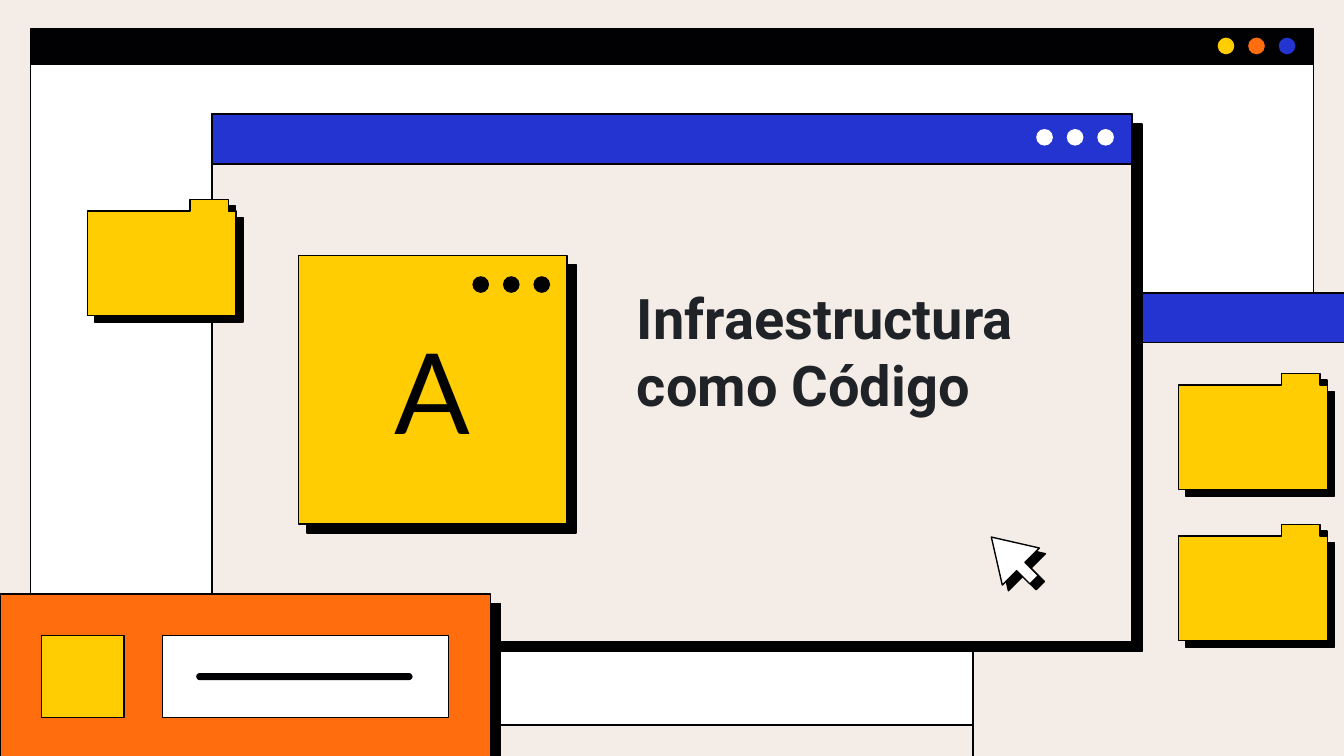
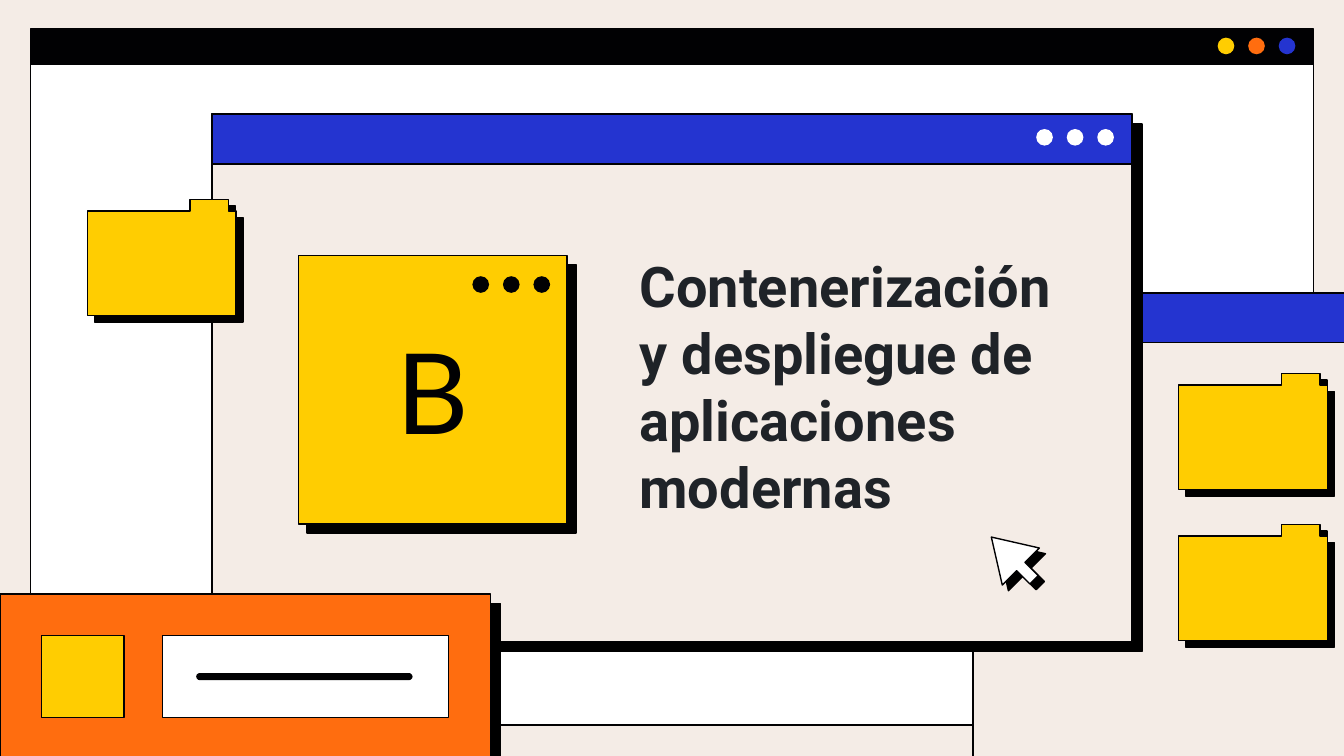
from dataclasses import dataclass

from lxml import etree
from pptx import Presentation
from pptx import util as u
from pptx.dml.color import RGBColor
from pptx.enum import shapes, text
from pptx.oxml import ns


@dataclass(frozen=True)
class Theme:
    """Colours, fonts, type sizes and grid cell of the deck."""
    paper: str = "F4ECE6"
    ink: str = "010103"
    title_ink: str = "1F2328"
    white: str = "FFFFFF"
    blue: str = "2434D0"
    orange: str = "FF6D0F"
    yellow: str = "FFCD01"
    title_font: str = "Roboto"
    letter_font: str = "Lato"
    title_size: int = 30
    letter_size: int = 60
    line: float = 0.75
    cell: float = 0.1


T = Theme()
COLS, ROWS = 100, 56.25
WINDOW_SHADOW, TILE_SHADOW = (7.5, 44), (6.8, 46)
FOLDER_SHADOW, CURSOR_SHADOW = (5.2, 43), (4.5, 43)
DOT, DOT_STEP = 1.24, 2.27
HEADER = 3.7
FOLDERS = [(87.7, 27.8), (6.5, 14.85), (87.7, 39.03)]
FOLDER_OUTLINE = [(7.65, 0), (7.65, 0.85), (0, 0.85), (0, 8.63),
                  (11.05, 8.63), (11.05, 0.85), (10.5, 0.85), (10.5, 0)]
SECTIONS = [("A", "Infraestructura como Código", (46.4, 20.5, 34.8, 11.6)),
            ("B", "Contenerización y despliegue de aplicaciones modernas",
             (46.6, 19.3, 34.8, 20.4))]


def grid(n):
    """Turn a number of grid cells into a length."""
    return u.Inches(n * T.cell)


def rgb(colour):
    """Turn a theme colour into an RGBColor."""
    return RGBColor.from_string(colour)


def hard_shadow(sp, distance, angle):
    """Give a shape a solid offset shadow."""
    effects = sp._element.spPr.find(ns.qn("a:effectLst"))
    outer = etree.SubElement(effects, ns.qn("a:outerShdw"), dist=str(u.Pt(distance)),
                             dir=str(angle * 60000), algn="bl", rotWithShape="0")
    etree.SubElement(outer, ns.qn("a:srgbClr"), val="000000")


def style(sp, fill, outlined=True, shadow=None):
    """Set the fill, outline and shadow of a shape."""
    sp.shadow.inherit = False
    sp.fill.solid()
    sp.fill.fore_color.rgb = rgb(fill)
    if outlined:
        sp.line.color.rgb = rgb(T.ink)
        sp.line.width = u.Pt(T.line)
    else:
        sp.line.fill.background()
    if shadow:
        hard_shadow(sp, *shadow)
    return sp


def block(s, kind, box, fill, **look):
    """Add a styled preset shape on the grid."""
    return style(s.shapes.add_shape(kind, *map(grid, box)), fill, **look)


def rect(s, box, fill, **look):
    """Add a styled rectangle."""
    return block(s, shapes.MSO_SHAPE.RECTANGLE, box, fill, **look)


def dots(s, left, top, colours):
    """Add an evenly spaced row of window buttons."""
    for i, colour in enumerate(colours):
        block(s, shapes.MSO_SHAPE.OVAL, (left + i * DOT_STEP, top, DOT, DOT),
              colour, outlined=False)


def write(sp, words, font, size, colour, bold=False,
          align=text.PP_ALIGN.LEFT, anchor=text.MSO_ANCHOR.BOTTOM):
    """Write one run of text inside a shape."""
    tf = sp.text_frame
    tf.word_wrap = True
    tf.vertical_anchor = anchor
    tf.margin_left = tf.margin_right = tf.margin_top = tf.margin_bottom = grid(1)
    p = tf.paragraphs[0]
    p.alignment = align
    r = p.add_run()
    r.text = words
    r.font.name, r.font.size, r.font.bold = font, u.Pt(size), bold
    r.font.color.rgb = rgb(colour)


def window(s, left, top, width, height):
    """Add a paper window with a blue header."""
    rect(s, (left, top, width, height), T.paper, shadow=WINDOW_SHADOW)
    rect(s, (left, top, width, HEADER), T.blue)


def desktop(s):
    """Add the browser frame and the two stacked windows."""
    margin, top, bar = 2.27, 2.15, 2.65
    width = COLS - 2 * margin
    rect(s, (margin, top + bar, width, ROWS - top - bar - 2.3), T.white)
    rect(s, (margin, top, width, bar), T.ink)
    dots(s, 90.6, 2.8, [T.yellow, T.orange, T.blue])
    window(s, 72.4, 21.8, 58, 36.5)
    window(s, 15.77, 8.5, 68.46, 39.25)
    dots(s, 77.1, 9.6, [T.white] * 3)


def letter_tile(s, letter):
    """Add the yellow tile with the section letter."""
    tile = rect(s, (22.2, 19, 20, 20), T.yellow, shadow=TILE_SHADOW)
    write(tile, letter, T.letter_font, T.letter_size, T.ink,
          align=text.PP_ALIGN.CENTER, anchor=text.MSO_ANCHOR.MIDDLE)
    dots(s, 35.15, 20.55, [T.ink] * 3)


def search_panel(s):
    """Add the orange panel with its button and field."""
    top, side = 47.27, 6.13
    rect(s, (0, 44.2, 36.5, 12.3), T.orange, shadow=WINDOW_SHADOW)
    rect(s, (3.1, top, side, side), T.yellow)
    rect(s, (12.1, top, 21.28, side), T.white)
    bar = block(s, shapes.MSO_SHAPE.ROUNDED_RECTANGLE, (14.6, 50.08, 16.1, 0.53),
                T.ink, outlined=False)
    bar.adjustments[0] = 0.5


def folder(s, left, top):
    """Add a folder icon."""
    points = [(grid(left + x), grid(top + y)) for x, y in FOLDER_OUTLINE]
    outline = s.shapes.build_freeform(*points[0])
    outline.add_line_segments(points[1:])
    style(outline.convert_to_shape(), T.yellow, shadow=FOLDER_SHADOW)


def cursor(s):
    """Add the mouse pointer."""
    sp = block(s, shapes.MSO_SHAPE.UP_ARROW, (73.4, 39.3, 3.9, 4.5), T.white,
               shadow=CURSOR_SHADOW)
    sp.adjustments[0], sp.adjustments[1] = 0.224, 0.796
    sp.rotation = 315


def section(prs, letter, title, title_box):
    """Add one section slide."""
    s = prs.slides.add_slide(prs.slide_layouts[6])
    desktop(s)
    write(s.shapes.add_textbox(*map(grid, title_box)), title,
          T.title_font, T.title_size, T.title_ink, bold=True)
    letter_tile(s, letter)
    search_panel(s)
    for spot in FOLDERS:
        folder(s, *spot)
    cursor(s)


def main():
    """Build and save the deck."""
    prs = Presentation()
    prs.slide_width, prs.slide_height = grid(COLS), grid(ROWS)
    paper = prs.slide_master.background.fill
    paper.solid()
    paper.fore_color.rgb = rgb(T.paper)
    for letter, title, title_box in SECTIONS:
        section(prs, letter, title, title_box)
    prs.save("out.pptx")


if __name__ == "__main__":
    main()
